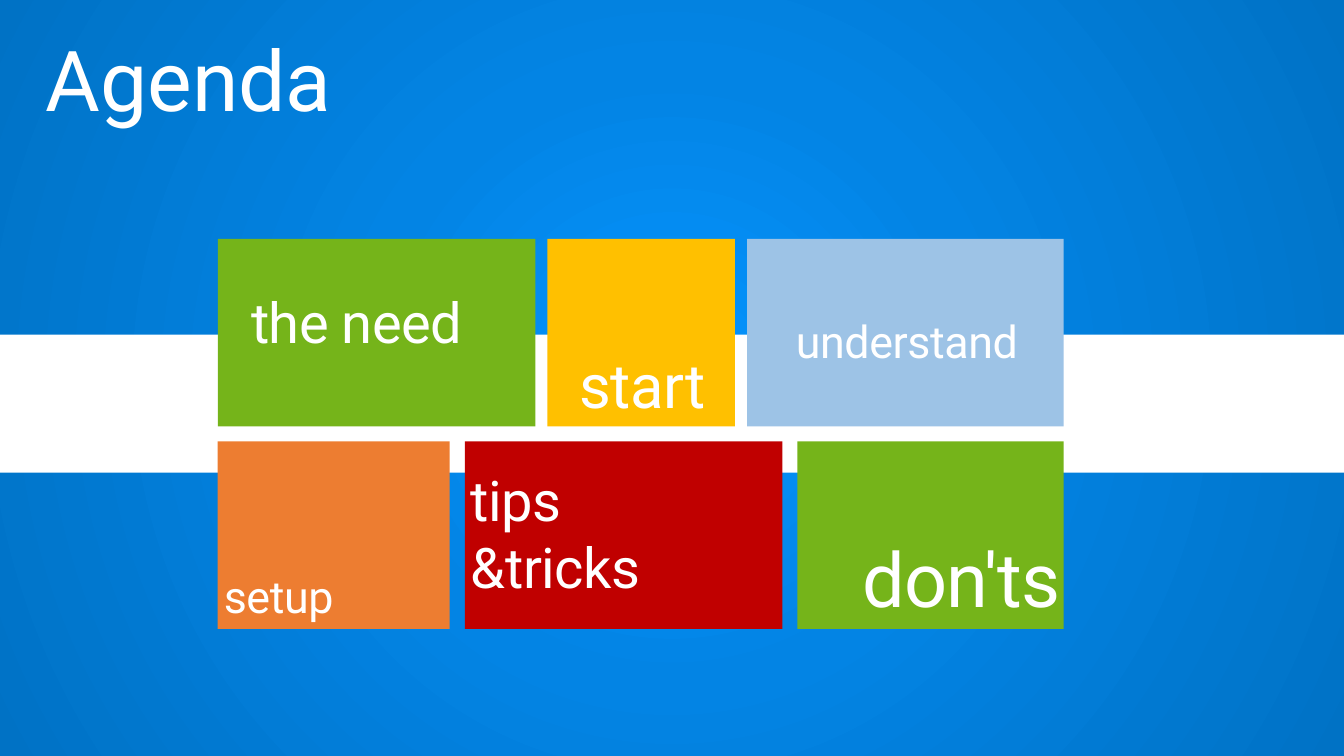
from dataclasses import dataclass

from lxml.etree import SubElement
from pptx import Presentation
from pptx.dml.color import RGBColor
from pptx.enum.shapes import MSO_SHAPE
from pptx.enum.text import MSO_ANCHOR, PP_ALIGN
from pptx.oxml.ns import qn
from pptx.util import Inches, Pt


@dataclass(frozen=True)
class Theme:
    font: str = "Roboto"
    white: str = "FFFFFF"
    green: str = "75B41A"
    yellow: str = "FFC000"
    pale_blue: str = "9DC3E6"
    orange: str = "ED7D31"
    red: str = "C00000"
    glow: tuple = ((0, "0594FF"), (40, "0384E4"), (100, "0072C5"))
    title: int = 60
    huge: int = 54
    large: int = 44
    medium: int = 40
    small: int = 32


THEME = Theme()


def write(frame, text, size, align=PP_ALIGN.LEFT, color=THEME.white,
          anchor=MSO_ANCHOR.BOTTOM, spacing=None, line_spacing=None):
    """Fill a text frame, one paragraph for each line of text."""
    frame.word_wrap = True
    frame.vertical_anchor = anchor
    for number, line in enumerate(text.split("\n")):
        para = frame.add_paragraph() if number else frame.paragraphs[0]
        para.alignment = align
        if line_spacing:
            para.line_spacing = line_spacing
        span = para.add_run()
        span.text = line
        span.font.name = THEME.font
        span.font.size = Pt(size)
        span.font.color.rgb = RGBColor.from_string(color)
        if spacing is not None:
            span._r.get_or_add_rPr().set("spc", str(round(spacing * 100)))


class AgendaPage:
    def __init__(self, deck, theme):
        self.theme = theme
        self.page = deck.slides.add_slide(deck.slide_layouts[5])

    def background(self):
        """Radial gradient spreading from the centre of the page."""
        fill = self.page.background.fill
        fill.gradient()
        grad = self.page.background._cSld.find(".//" + qn("a:gradFill"))
        for child in list(grad):
            grad.remove(child)
        stops = SubElement(grad, qn("a:gsLst"))
        for position, color in self.theme.glow:
            stop = SubElement(stops, qn("a:gs"), pos=str(position * 1000))
            SubElement(stop, qn("a:srgbClr"), val=color)
        circle = SubElement(grad, qn("a:path"), path="circle")
        SubElement(circle, qn("a:fillToRect"),
                   {side: "50000" for side in "ltrb"})

    def title(self, text, left, top, width, height):
        box = self.page.shapes.title
        box.left, box.top = Inches(left), Inches(top)
        box.width, box.height = Inches(width), Inches(height)
        write(box.text_frame, text, self.theme.title, align=PP_ALIGN.CENTER,
              anchor=MSO_ANCHOR.MIDDLE, line_spacing=0.9)

    def rectangle(self, shapes, left, top, width, height, color):
        box = shapes.add_shape(MSO_SHAPE.RECTANGLE, Inches(left), Inches(top),
                               Inches(width), Inches(height))
        box.shadow.inherit = False
        box.fill.solid()
        box.fill.fore_color.rgb = RGBColor.from_string(color)
        box.line.fill.background()
        return box

    def tile_row(self, shapes, left, top, height, gap, tiles):
        """Lay tiles side by side; each may indent or raise its text."""
        for text, width, color, size, align, indent, rise in tiles:
            box = self.rectangle(shapes, left, top, width, height, color)
            frame = box.text_frame
            frame.margin_left = Inches(0.06 + indent)
            frame.margin_top = frame.margin_right = Inches(0.03)
            frame.margin_bottom = Inches(0.06 + rise)
            write(frame, text, size, align=align, spacing=-0.3)
            left += width + gap


def main():
    deck = Presentation()
    deck.slide_width, deck.slide_height = Inches(13.33), Inches(7.5)
    agenda = AgendaPage(deck, THEME)
    shapes = agenda.page.shapes

    # Backdrop and heading
    agenda.background()
    agenda.rectangle(shapes, -0.48, 3.32, 14.41, 1.37, THEME.white)
    agenda.title("Agenda", 0.12, 0.19, 3.5, 1.29)

    # Agenda tiles: text, width, color, size, alignment, indent, rise
    tiles = shapes.add_group_shape().shapes
    left, center, right = PP_ALIGN.LEFT, PP_ALIGN.CENTER, PP_ALIGN.RIGHT
    agenda.tile_row(tiles, 2.16, 2.37, 1.86, 0.12, [
        ("the need", 3.15, THEME.green, THEME.medium, left, 0.27, 0.65),
        ("start", 1.86, THEME.yellow, THEME.large, center, 0, 0),
        ("understand", 3.14, THEME.pale_blue, THEME.small, center, 0, 0.52),
    ])
    agenda.tile_row(tiles, 2.16, 4.38, 1.86, 0.15, [
        ("setup", 2.3, THEME.orange, THEME.small, left, 0, 0),
        ("tips\n&tricks", 3.15, THEME.red, THEME.medium, left, 0, 0.23),
        ("don'ts", 2.64, THEME.green, THEME.huge, right, 0, 0),
    ])

    deck.save("out.pptx")


if __name__ == "__main__":
    main()
